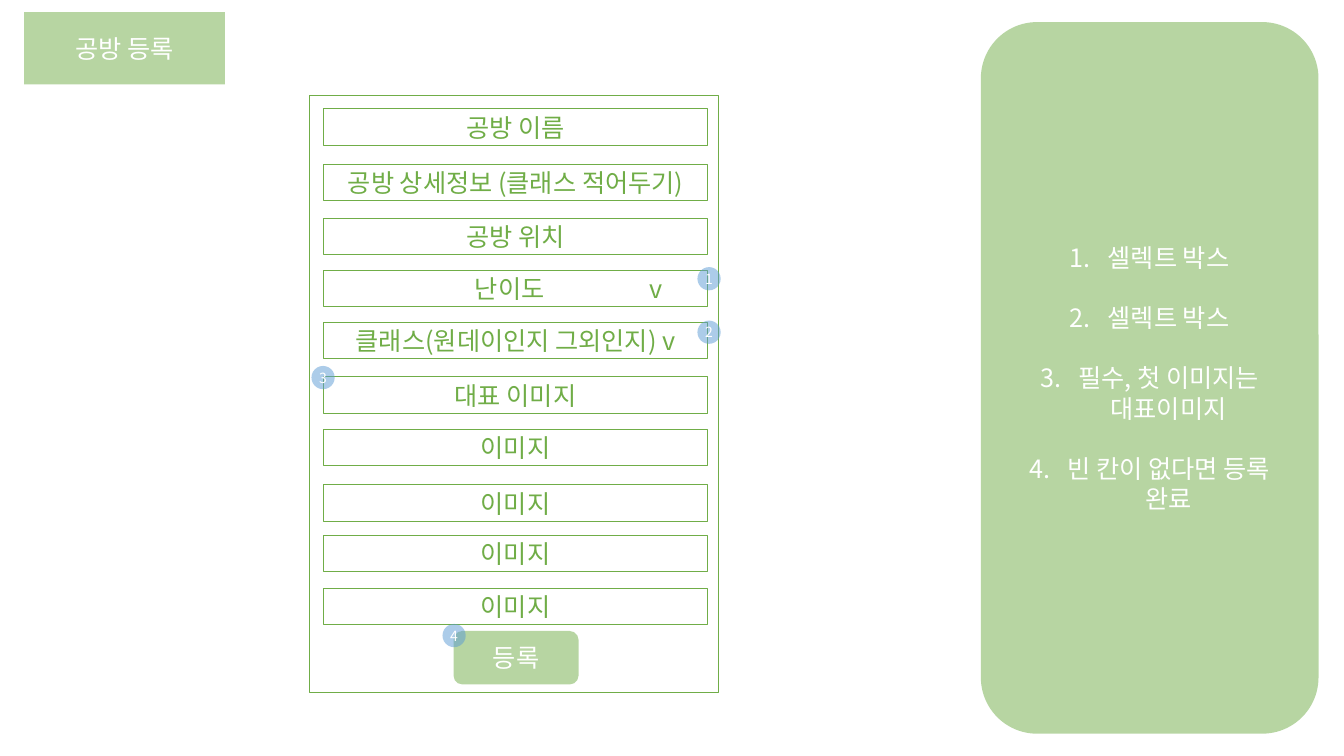
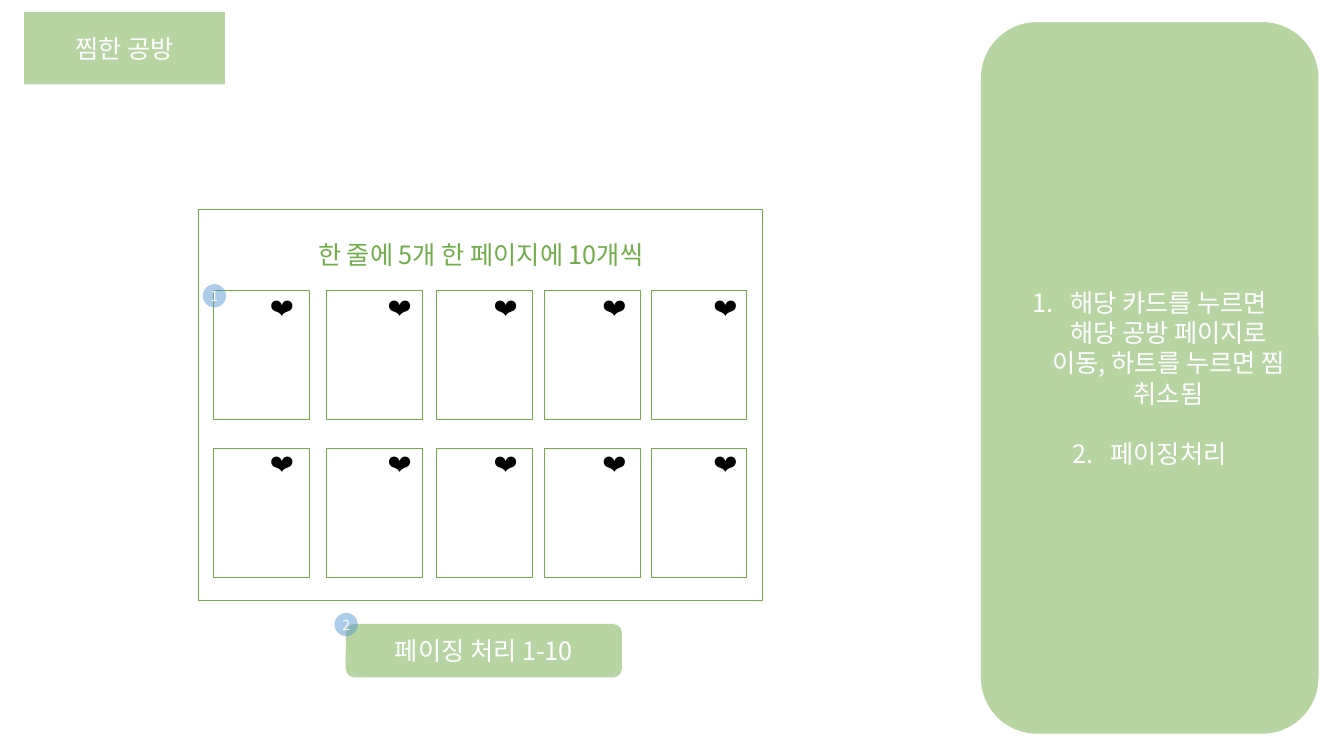
"""Build the workshop registration and saved workshops wireframe slides."""
from lxml import etree
from pptx import Presentation
from pptx.dml.color import RGBColor
from pptx.enum.shapes import MSO_SHAPE
from pptx.enum.text import MSO_ANCHOR, MSO_AUTO_SIZE, PP_ALIGN
from pptx.oxml.ns import qn
from pptx.util import Pt

RECT, ROUNDED, OVAL = MSO_SHAPE.RECTANGLE, MSO_SHAPE.ROUNDED_RECTANGLE, MSO_SHAPE.OVAL
LEFT, CENTER = PP_ALIGN.LEFT, PP_ALIGN.CENTER
TOP, MIDDLE = MSO_ANCHOR.TOP, MSO_ANCHOR.MIDDLE
FIT_SHAPE, NO_FIT = MSO_AUTO_SIZE.SHAPE_TO_FIT_TEXT, MSO_AUTO_SIZE.NONE

COLORS = {"green": "70AD47", "blue": "5B9BD5", "white": "FFFFFF", "black": "000000"}
FONT = "Noto Sans CJK KR"
TITLE_BOX = (17.3, 8.6, 143.3, 51.8)
NOTES_BOX = (700.6, 15.8, 241.2, 508.3)
NOTE_GAP, NOTE_INDENT = 21.6, 27
BADGE_SIZE = 16.6

REGISTER = {
    "title": "공방 등록",
    "notes": ["셀렉트 박스", "셀렉트 박스", "필수, 첫 이미지는 대표이미지", "빈 칸이 없다면 등록 완료"],
    "frame": (221, 68.4, 292.3, 426.2),
    "button": ("등록", (324, 450.7, 89.3, 38.2)),
    "badges": [(498.2, 190.8), (498.2, 229), (222.5, 261.4), (316.1, 445.7)],
}
FIELDS = [
    ("공방 이름", 77.8),
    ("공방 상세정보 (클래스 적어두기)", 117.4),
    ("공방 위치", 156.2),
    ("\t난이도\tv", 193),
    ("클래스(원데이인지 그외인지) v", 230.4),
    ("대표 이미지", 269.3),
    ("이미지", 306.7),
    ("이미지", 346.3),
    ("이미지", 382.3),
    ("이미지", 420.5),
]
FIELD_LEFT, FIELD_WIDTH, FIELD_HEIGHT = 231.1, 274.3, 25.9
FIELD_TABS = (101, 226)

SAVED = {
    "title": "찜한 공방",
    "notes": ["해당 카드를 누르면 해당 공방 페이지로 이동, 하트를 누르면 찜 취소됨", "페이징처리"],
    "frame": (141.8, 149.8, 403.2, 279.4),
    "button": ("페이징 처리 1-10", (247, 445.7, 197.3, 38.2)),
    "badges": [(144.9, 203), (239, 437.8)],
}
GRID_CAPTION = "한 줄에 5개 한 페이지에 10개씩"
CARD_COLUMNS = [(152.6, 185.8), (233.3, 270), (311.8, 345.6), (388.8, 423.4), (465.1, 502.6)]
CARD_ROWS = [(207.4, 205.2), (320.4, 316.8)]
CARD_WIDTH, CARD_HEIGHT = 68.4, 92.2
HEART_WIDTH, HEART_HEIGHT = 39.6, 28.8


def points(box):
    return [Pt(length) for length in box]


def style(paragraph, color, size=18, align=CENTER):
    paragraph.alignment = align
    font = paragraph.font
    font.name, font.size = FONT, Pt(size)
    font.color.rgb = RGBColor.from_string(COLORS[color])
    defaults = paragraph._p.pPr.find(qn("a:defRPr"))
    etree.SubElement(defaults, qn("a:ea"), typeface=FONT)


def write(shape, text, color, size=18, align=CENTER):
    shape.text_frame.text = text
    style(shape.text_frame.paragraphs[0], color, size, align)


def tint(shape, color):
    shape.fill.solid()
    shape.fill.fore_color.rgb = RGBColor.from_string(COLORS[color])
    swatch = shape._element.spPr.find(qn("a:solidFill"))[0]
    etree.SubElement(swatch, qn("a:alpha"), val="50000")
    shape.line.fill.background()


def add_tinted(slide, preset, box, color="green"):
    shape = slide.shapes.add_shape(preset, *points(box))
    shape.shadow.inherit = False
    tint(shape, color)
    return shape


def add_outline(slide, box):
    shape = slide.shapes.add_shape(RECT, *points(box))
    shape.shadow.inherit = False
    shape.fill.background()
    shape.line.color.rgb = RGBColor.from_string(COLORS["green"])
    shape.line.width = Pt(0.75)
    return shape


def set_title(slide, text):
    title = slide.shapes.title
    title.left, title.top, title.width, title.height = points(TITLE_BOX)
    outline = etree.SubElement(title._element.spPr, qn("a:prstGeom"), prst="roundRect")
    etree.SubElement(outline, qn("a:avLst"))
    tint(title, "green")
    write(title, text, "white")
    title.text_frame.vertical_anchor = MIDDLE
    title.text_frame.auto_size = NO_FIT


def add_notes_panel(slide, notes):
    frame = add_tinted(slide, ROUNDED, NOTES_BOX).text_frame
    for index, note in enumerate(notes):
        paragraph = frame.paragraphs[0] if index == 0 else frame.add_paragraph()
        paragraph.text = note
        if index:
            paragraph.space_before = Pt(NOTE_GAP)
        style(paragraph, "white")
        properties = paragraph._p.pPr
        properties.set("marL", str(Pt(NOTE_INDENT)))
        properties.set("indent", str(-Pt(NOTE_INDENT)))
        number = etree.Element(qn("a:buAutoNum"), type="arabicPeriod")
        properties.find(qn("a:defRPr")).addprevious(number)


def set_tabs(paragraph, positions):
    tabs = etree.Element(qn("a:tabLst"))
    for position in positions:
        etree.SubElement(tabs, qn("a:tab"), pos=str(Pt(position)), algn="l")
    paragraph._p.pPr.find(qn("a:defRPr")).addprevious(tabs)


def add_fields(slide, frame):
    for label, top in FIELDS:
        field = add_outline(slide, (FIELD_LEFT, top, FIELD_WIDTH, FIELD_HEIGHT))
        tabbed = "\t" in label
        write(field, label, "green", align=LEFT if tabbed else CENTER)
        if tabbed:
            set_tabs(field.text_frame.paragraphs[0], FIELD_TABS)


def add_cards(slide, frame):
    write(frame, GRID_CAPTION, "green")
    frame.text_frame.vertical_anchor = TOP
    frame.text_frame.margin_top = Pt(21)
    for card_top, heart_top in CARD_ROWS:
        for card_left, heart_left in CARD_COLUMNS:
            add_outline(slide, (card_left, card_top, CARD_WIDTH, CARD_HEIGHT))
            heart = slide.shapes.add_textbox(
                *points((heart_left, heart_top, HEART_WIDTH, HEART_HEIGHT)))
            write(heart, "❤", "black", align=LEFT)
            heart.text_frame.word_wrap = False
            heart.text_frame.auto_size = FIT_SHAPE


def add_badges(slide, corners):
    for number, corner in enumerate(corners, 1):
        badge = add_tinted(slide, OVAL, (*corner, BADGE_SIZE, BADGE_SIZE), "blue")
        write(badge, str(number), "white", size=10)
        frame = badge.text_frame
        frame.margin_left = frame.margin_right = frame.margin_top = frame.margin_bottom = 0
        frame.word_wrap = False


def add_screen(deck, screen, add_content):
    slide = deck.slides.add_slide(deck.slide_layouts[5])
    set_title(slide, screen["title"])
    add_notes_panel(slide, screen["notes"])
    add_content(slide, add_outline(slide, screen["frame"]))
    label, box = screen["button"]
    write(add_tinted(slide, ROUNDED, box), label, "white")
    add_badges(slide, screen["badges"])


def main():
    deck = Presentation()
    deck.slide_width, deck.slide_height = Pt(960), Pt(540)
    add_screen(deck, REGISTER, add_fields)
    add_screen(deck, SAVED, add_cards)
    deck.save("out.pptx")


if __name__ == "__main__":
    main()
